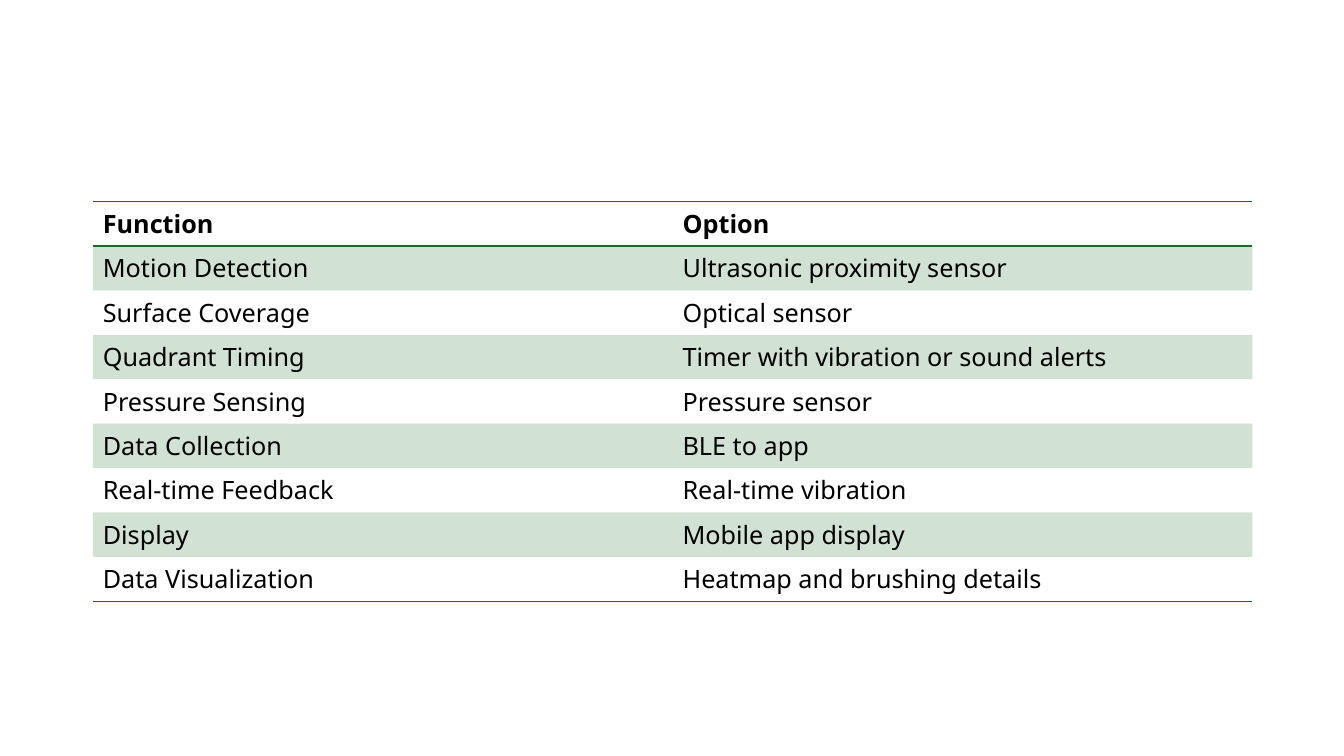
"""Build a slide with a table of device functions and the option chosen for each."""
from lxml.etree import SubElement
from pptx import Presentation
from pptx.dml.color import RGBColor
from pptx.oxml import parse_xml
from pptx.oxml.ns import nsdecls, qn
from pptx.util import Inches, Pt

GREEN = RGBColor(0x19, 0x6B, 0x24)
BLACK = RGBColor(0x00, 0x00, 0x00)
FONT = "Noto Sans"
PLAIN_TABLE_STYLE = "{2D5ABB26-0587-4C30-8999-92F81FD0307C}"

FUNCTION_OPTIONS = [
    ("Function", "Option"),
    ("Motion Detection", "Ultrasonic proximity sensor"),
    ("Surface Coverage", "Optical sensor"),
    ("Quadrant Timing", "Timer with vibration or sound alerts"),
    ("Pressure Sensing", "Pressure sensor"),
    ("Data Collection", "BLE to app"),
    ("Real-time Feedback", "Real-time vibration"),
    ("Display", "Mobile app display"),
    ("Data Visualization", "Heatmap and brushing details"),
]


def write_text(frame, text, size=18, bold=False, color=BLACK, font=FONT):
    run = frame.paragraphs[0].add_run()
    run.text = text
    run.font.size = Pt(size)
    run.font.bold = bold
    run.font.name = font
    run.font.color.rgb = color


class SlideBuilder:
    def __init__(self, slide, accent=GREEN, band_opacity=20, rule_width=1):
        self.slide = slide
        self.accent = accent
        self.band_opacity = band_opacity
        self.rule_width = rule_width

    def shade(self, cell):
        cell.fill.solid()
        cell.fill.fore_color.rgb = self.accent
        tint = cell._tc.get_or_add_tcPr().find(qn("a:solidFill")).find(qn("a:srgbClr"))
        SubElement(tint, qn("a:alpha"), val=str(self.band_opacity * 1000))

    def rule(self, cell, sides):
        properties = cell._tc.get_or_add_tcPr()
        for position, side in enumerate(sides):
            properties.insert(position, parse_xml(
                f'<a:ln{side} {nsdecls("a")} w="{Pt(self.rule_width)}">'
                f'<a:solidFill><a:srgbClr val="{self.accent}"/></a:solidFill>'
                f'<a:prstDash val="solid"/></a:ln{side}>'))

    def table(self, rows, left, top, width, height):
        last = len(rows) - 1
        table = self.slide.shapes.add_table(
            len(rows), len(rows[0]), Inches(left), Inches(top),
            Inches(width), Inches(height)).table
        table._tbl.tblPr.find(qn("a:tableStyleId")).text = PLAIN_TABLE_STYLE
        table.horz_banding = False
        for row_number, entries in enumerate(rows):
            for column_number, entry in enumerate(entries):
                cell = table.cell(row_number, column_number)
                write_text(cell.text_frame, entry, bold=row_number == 0)
                if row_number % 2:
                    self.shade(cell)
                else:
                    cell.fill.background()
                self.rule(cell, {0: "TB", last: "B"}.get(row_number, ""))


def main():
    deck = Presentation()
    deck.slide_width, deck.slide_height = Inches(13.33), Inches(7.5)
    builder = SlideBuilder(deck.slides.add_slide(deck.slide_layouts[6]))
    builder.table(FUNCTION_OPTIONS, left=0.92, top=2, width=11.5, height=3.65)
    deck.save("out.pptx")


if __name__ == "__main__":
    main()
